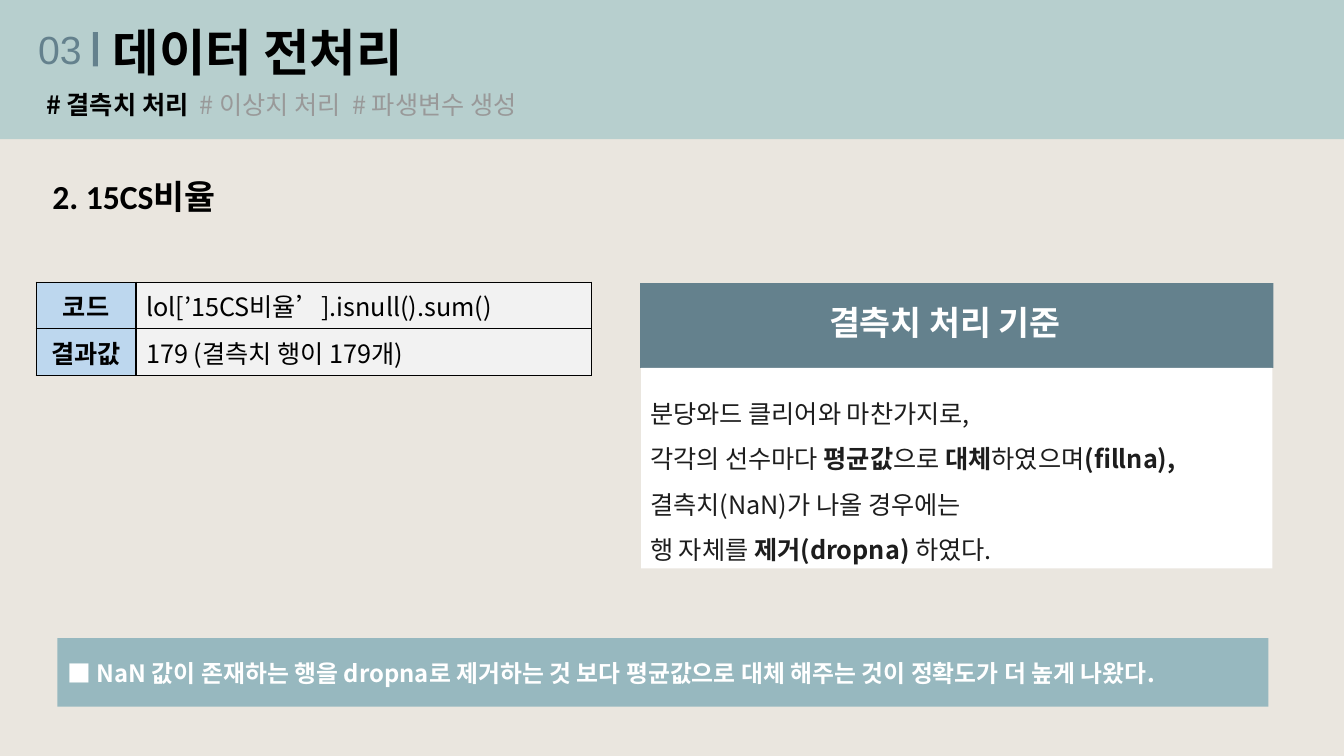
from lxml import etree
from pptx import Presentation
from pptx import util as u
from pptx.dml.color import RGBColor
from pptx.enum import shapes, text
from pptx.oxml import ns

PX = 9144  # 100 px to the inch
KR = "Noto Sans CJK KR"
SLATE, BLACK, WHITE, INK = "64818D", "000000", "FFFFFF", "1D1D1D"


def paint(fill, color):
    fill.solid()
    fill.fore_color.rgb = RGBColor.from_string(color)


def write(tf, lines, size, font=KR, align=text.PP_ALIGN.LEFT, spacing=None):
    """Fill a text frame; each line is a list of (text, colour, bold) runs."""
    tf.word_wrap = True
    tf.auto_size = text.MSO_AUTO_SIZE.NONE
    tf.vertical_anchor = text.MSO_ANCHOR.TOP
    for i, runs in enumerate(lines):
        p = tf.add_paragraph() if i else tf.paragraphs[0]
        p.alignment = align
        if spacing:
            p.line_spacing = spacing
        for words, color, bold in runs:
            r = p.add_run()
            r.text = words
            r.font.size = u.Pt(size)
            r.font.bold = bold
            paint(r.font.fill, color)
            r.font.name = font
            ea = etree.SubElement(r.font._element, ns.qn("a:ea"))
            ea.set("typeface", KR)


prs = Presentation()
prs.slide_width, prs.slide_height = 1333 * PX, 750 * PX
s = prs.slides.add_slide(prs.slide_layouts[5])
paint(s.background.fill, "EAE6DF")

# Coloured panels
for box, color in [
    ((635, 281, 628, 84), SLATE),
    ((0, 0, 1333, 138), "B7CFCE"),
    ((636, 365, 626, 199), WHITE),
    ((57, 633, 1201, 68), "97B8BF"),
    ((92, 32, 5, 34), SLATE),
]:
    sp = s.shapes.add_shape(shapes.MSO_SHAPE.RECTANGLE, *[v * PX for v in box])
    sp.shadow.inherit = False
    paint(sp.fill, color)
    sp.line.fill.background()

# Title, brought in front of the header band
title = s.shapes.title
title.left, title.top, title.width, title.height = [v * PX for v in (102, 16, 423, 57)]
title.element.getparent().append(title.element)
write(title.text_frame, [[("데이터 전처리", BLACK, True)]], 36)

# Text boxes
criteria = [
    [("분당와드 클리어와 마찬가지로,", INK, False)],
    [("각각의 선수마다 ", INK, False), ("평균값", INK, True), ("으로 ", INK, False),
     ("대체", INK, True), ("하였으며", INK, False), ("(fillna),", INK, True)],
    [("결측치(NaN)가 나올 경우에는", INK, False)],
    [("행 자체를 ", INK, False), ("제거(dropna) ", INK, True), ("하였다.", INK, False)],
]
steps = [("# 결측치 처리", BLACK, True), ("  # 이상치 처리  # 파생변수 생성", "999999", False)]
conclusion = ("■ NaN 값이 존재하는 행을 dropna로 제거하는 것 보다 "
              "평균값으로 대체 해주는 것이 정확도가 더 높게 나왔다.")
for box, lines, size, style in [
    ((28, 20, 74, 57), [[("03", SLATE, False)]], 28, {"font": "Arial"}),
    ((36, 84, 838, 30), [steps], 18, {}),
    ((42, 170, 512, 52), [[("2. 15CS비율", BLACK, True)]], 24, {"font": "Calibri"}),
    ((641, 295, 600, 63), [[("결측치 처리 기준 ", WHITE, True)]], 24,
     {"align": text.PP_ALIGN.CENTER}),
    ((635, 375, 626, 189), criteria, 18, {"spacing": 1.5}),
    ((57, 649, 1218, 43), [[(conclusion, WHITE, True)]], 17, {}),
]:
    tb = s.shapes.add_textbox(*[v * PX for v in box])
    write(tb.text_frame, lines, size, **style)

# Code and result table
rows = [("코드", "lol[’15CS비율’].isnull().sum()"),
        ("결과값", "179 (결측치 행이 179개)")]
table = s.shapes.add_table(2, 2, 36 * PX, 280 * PX, 551 * PX, 84 * PX).table
table.first_row = table.horz_banding = False
for column, width in zip(table.columns, (99, 452)):
    column.width = width * PX
for row, height in zip(table.rows, (40, 44)):
    row.height = height * PX
for i, row in enumerate(rows):
    for j, words in enumerate(row):
        label = j == 0
        cell = table.cell(i, j)
        tcPr = cell._tc.get_or_add_tcPr()
        for side in "LRTB":
            ln = etree.SubElement(tcPr, ns.qn(f"a:ln{side}"), w=str(u.Pt(1)))
            line_fill = etree.SubElement(ln, ns.qn("a:solidFill"))
            etree.SubElement(line_fill, ns.qn("a:srgbClr"), val=BLACK)
        paint(cell.fill, "BDD7EE" if label else "F2F2F2")
        p = cell.text_frame
        write(p, [[(words, BLACK, label)]], 18,
              align=text.PP_ALIGN.CENTER if label else text.PP_ALIGN.LEFT)

prs.save("out.pptx")
